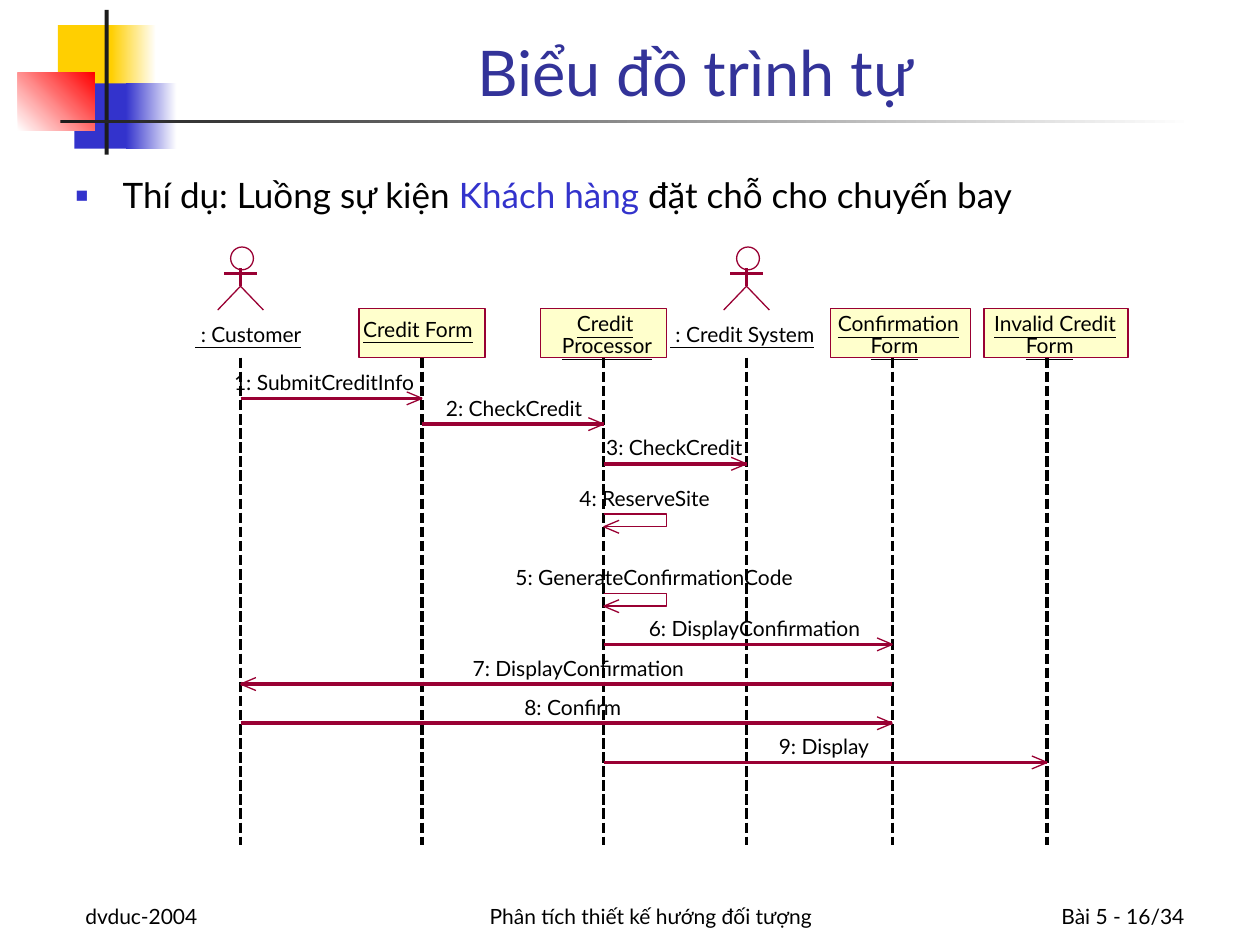
import lxml.etree
import pptx
import pptx.dml.color
import pptx.enum.dml
import pptx.enum.shapes
import pptx.enum.text
import pptx.oxml.ns
import pptx.util

Cm, Pt = pptx.util.Cm, pptx.util.Pt
SHAPES = pptx.enum.shapes.MSO_SHAPE
ALIGN = pptx.enum.text.PP_ALIGN
BOTTOM = pptx.enum.text.MSO_ANCHOR.BOTTOM
FIT = pptx.enum.text.MSO_AUTO_SIZE
DASH = pptx.enum.dml.MSO_LINE.SQUARE_DOT

BLACK, WHITE, DARK = "000000", "FFFFFF", "1C1C1C"
YELLOW, BLUE, RED = "FFCF01", "3333CC", "FF0000"
TITLE_BLUE, MAROON, CREAM = "333399", "990033", "FFFFCC"
LABEL = {"name": "Lato", "size": Pt(12)}
NAME = {**LABEL, "underline": True}

# Lifeline positions and extent, in centimetres
LIFELINES = {"customer": 4.85, "form": 8.51, "processor": 12.17,
             "system": 15.05, "confirmation": 17.99, "invalid": 21.11}
LIFE_TOP, LIFE_END = 7.21, 17.04
BOX_TOP, BOX_HEIGHT = 6.22, 0.99
LOOP_WIDTH = 1.27

# Left, top, width, height, start colour, end colour, angle
DECORATION = [
    (1.17, 0.51, 1.22, 1.32, YELLOW, None, 0),
    (2.24, 0.51, 0.91, 1.32, YELLOW, WHITE, 0),
    (1.5, 1.68, 1.17, 1.32, BLUE, None, 0),
    (2.54, 1.68, 1.02, 1.32, BLUE, WHITE, 0),
    (0.36, 1.47, 1.55, 1.17, WHITE, RED, 45),
    (2.11, 0.2, 0.08, 2.92, DARK, None, 0),
    (1.22, 2.41, 22.86, 0.08, DARK, WHITE, 0),
]
FOOTERS = [
    ("dvduc-2004", 1.47, 5.28, ALIGN.LEFT),
    ("Phân tích thiết kế hướng đối tượng", 8.26, 9.73, ALIGN.CENTER),
    ("Bài 5 - 16/34", 18.85, 5.28, ALIGN.RIGHT),
]
# Lifeline: left and width of its box
BOXES = {"form": (7.24, 2.54), "processor": (10.9, 2.54),
         "confirmation": (16.74, 2.82), "invalid": (19.84, 2.9)}
# Text, left, top, width
NAMES = [
    (" : Customer", 3.94, 6.48, 2.29),
    ("Credit Form", 7.32, 6.38, 2.36),
    ("Credit", 11.63, 6.27, 1.32),
    ("Processor", 11.33, 6.71, 1.96),
    (" : Credit System", 13.51, 6.48, 3.1),
    ("Confirmation", 16.89, 6.27, 2.74),
    ("Form", 17.55, 6.71, 1.04),
    ("Invalid Credit", 20.04, 6.27, 2.77),
    ("Form", 20.68, 6.71, 1.04),
]
# Text, label left, label width, arrow height, sender, receiver
MESSAGES = [
    ("1: SubmitCreditInfo", 4.72, 3.89, 8.03, "customer", "form"),
    ("2: CheckCredit", 8.99, 2.87, 8.55, "form", "processor"),
    ("3: CheckCredit", 12.22, 2.87, 9.35, "processor", "system"),
    ("4: ReserveSite", 11.68, 2.77, 10.36, "processor", "processor"),
    ("5: GenerateConfirmationCode", 10.39, 5.97, 11.96, "processor", "processor"),
    ("6: DisplayConfirmation", 13.08, 4.55, 12.99, "processor", "confirmation"),
    ("7: DisplayConfirmation", 9.53, 4.55, 13.79, "confirmation", "customer"),
    ("8: Confirm", 10.57, 2.08, 14.58, "customer", "confirmation"),
    ("9: Display", 15.7, 1.91, 15.37, "processor", "invalid"),
]


def rgb(color):
    return pptx.dml.color.RGBColor.from_string(color)


def apply_format(target, values):
    for name, value in values.items():
        setattr(target, name, value)


def add_span(para, text, style, color=BLACK):
    span = para.add_run()
    span.text = text
    apply_format(span.font, style)
    span.font.color.rgb = rgb(color)


def place(shape, left, top, width, height):
    apply_format(shape, {"left": Cm(left), "top": Cm(top),
                         "width": Cm(width), "height": Cm(height)})


def add_preset(page, kind, left, top, width, height, fill=None, outline=None):
    shape = page.shapes.add_shape(kind, Cm(left), Cm(top), Cm(width), Cm(height))
    shape.shadow.inherit = False
    if fill:
        shape.fill.solid()
        shape.fill.fore_color.rgb = rgb(fill)
    else:
        shape.fill.background()
    if outline:
        shape.line.color.rgb = rgb(outline)
        shape.line.width = Pt(0)
    else:
        shape.line.fill.background()
    return shape


def add_decoration(page, left, top, width, height, start, end, angle):
    shape = add_preset(page, SHAPES.RECTANGLE, left, top, width, height, start)
    if end:
        shape.fill.gradient()
        shape.fill.gradient_angle = angle
        for stop, color in zip(shape.fill.gradient_stops, (start, end)):
            stop.color.rgb = rgb(color)


def add_line(page, x1, y1, x2, y2, color=MAROON, width=0, dash=None):
    line = page.shapes.add_connector(pptx.enum.shapes.MSO_CONNECTOR.STRAIGHT,
                                     Cm(x1), Cm(y1), Cm(x2), Cm(y2))
    line.line.color.rgb = rgb(color)
    apply_format(line.line, {"width": Pt(width), "dash_style": dash})
    lxml.etree.SubElement(line._element.spPr, pptx.oxml.ns.qn("a:effectLst"))
    return line


def add_polyline(page, points):
    start, *others = [(Cm(x), Cm(y)) for x, y in points]
    builder = page.shapes.build_freeform(*start, scale=1.0)
    builder.add_line_segments(others, close=False)
    shape = builder.convert_to_shape()
    shape.shadow.inherit = False
    shape.fill.background()
    shape.line.color.rgb = rgb(MAROON)
    shape.line.width = Pt(0)


def add_label(page, text, left, top, width, style):
    box = page.shapes.add_textbox(Cm(left), Cm(top), Cm(width), Cm(0.51))
    apply_format(box.text_frame, {
        "margin_left": 0, "margin_top": 0, "margin_right": 0, "margin_bottom": 0,
        "word_wrap": False, "auto_size": FIT.SHAPE_TO_FIT_TEXT})
    add_span(box.text_frame.paragraphs[0], text, style)


def add_footer(page, text, left, width, align):
    box = page.shapes.add_textbox(Cm(left), Cm(17.58), Cm(width), Cm(1.27))
    apply_format(box.text_frame, {"word_wrap": True, "vertical_anchor": BOTTOM})
    para = box.text_frame.paragraphs[0]
    para.alignment = align
    add_span(para, text, LABEL)


def add_actor(page, x):
    add_preset(page, SHAPES.OVAL, x - 0.2, 4.98, 0.46, 0.46, outline=MAROON)
    add_line(page, x, 5.41, x, 5.77)
    add_line(page, x - 0.33, 5.51, x + 0.33, 5.51)
    add_polyline(page, [(x - 0.46, 6.25), (x, 5.77), (x + 0.46, 6.25)])


def add_arrowhead(page, x, y, direction):
    for rise in (0.13, -0.13):
        add_line(page, x, y, x - 0.31 * direction, y + rise, width=0.75)


def add_message(page, text, left, width, y, sender, receiver):
    start, end = LIFELINES[sender], LIFELINES[receiver]
    if sender == receiver:
        turn, back = start + LOOP_WIDTH, y + 0.26
        add_polyline(page, [(start, y), (turn, y), (turn, back), (start, back)])
        add_arrowhead(page, start, back, -1)
    else:
        add_line(page, start, y, end, y)
        add_arrowhead(page, end, y, 1 if end > start else -1)
    add_label(page, text, left, y - 0.58, width, LABEL)


def fill_title(title):
    place(title, 3.2, 0.2, 21.64, 2.13)
    apply_format(title.text_frame, {"vertical_anchor": BOTTOM, "auto_size": FIT.NONE})
    para = title.text_frame.paragraphs[0]
    para.alignment = ALIGN.CENTER
    add_span(para, "Biểu đồ trình tự", {"name": "Lato", "size": Pt(36)}, TITLE_BLUE)


def fill_body(body):
    place(body, 1.27, 3.38, 23.6, 13.97)
    body.text_frame.auto_size = FIT.NONE
    para = body.text_frame.paragraphs[0]
    para.space_before = Pt(5)
    for text, color in (("Thí dụ: Luồng sự kiện ", BLACK), ("Khách hàng", BLUE),
                        (" đặt chỗ cho chuyến bay", BLACK)):
        add_span(para, text, {"name": "Lato", "size": Pt(20)}, color)
    # Square bullet with a hanging indent
    qn, sub = pptx.oxml.ns.qn, lxml.etree.SubElement
    props = para._p.get_or_add_pPr()
    props.set("marL", str(Cm(0.95)))
    props.set("indent", str(-Cm(0.95)))
    sub(sub(props, qn("a:buClr")), qn("a:srgbClr"), val=BLUE)
    sub(props, qn("a:buSzPct"), val="60000")
    sub(props, qn("a:buChar"), char="■")


def main():
    deck = pptx.Presentation()
    deck.slide_width, deck.slide_height = Cm(25.4), Cm(19.05)
    page = deck.slides.add_slide(deck.slide_layouts[1])

    # Frame of the page
    for item in DECORATION:
        add_decoration(page, *item)
    fill_title(page.shapes.title)
    fill_body(page.placeholders[1])
    for footer in FOOTERS:
        add_footer(page, *footer)

    # Participants and their lifelines
    for key, x in LIFELINES.items():
        line = add_line(page, x, LIFE_TOP, x, LIFE_END, BLACK, dash=DASH)
        if key not in BOXES:
            add_actor(page, x)
            continue
        left, width = BOXES[key]
        box = add_preset(page, SHAPES.RECTANGLE, left, BOX_TOP, width, BOX_HEIGHT,
                         CREAM, MAROON)
        if abs(left + width / 2 - x) < 0.01:
            line.begin_connect(box, 2)
    for name in NAMES:
        add_label(page, *name, NAME)

    # Messages in time order
    for message in MESSAGES:
        add_message(page, *message)

    deck.save("out.pptx")


if __name__ == "__main__":
    main()
